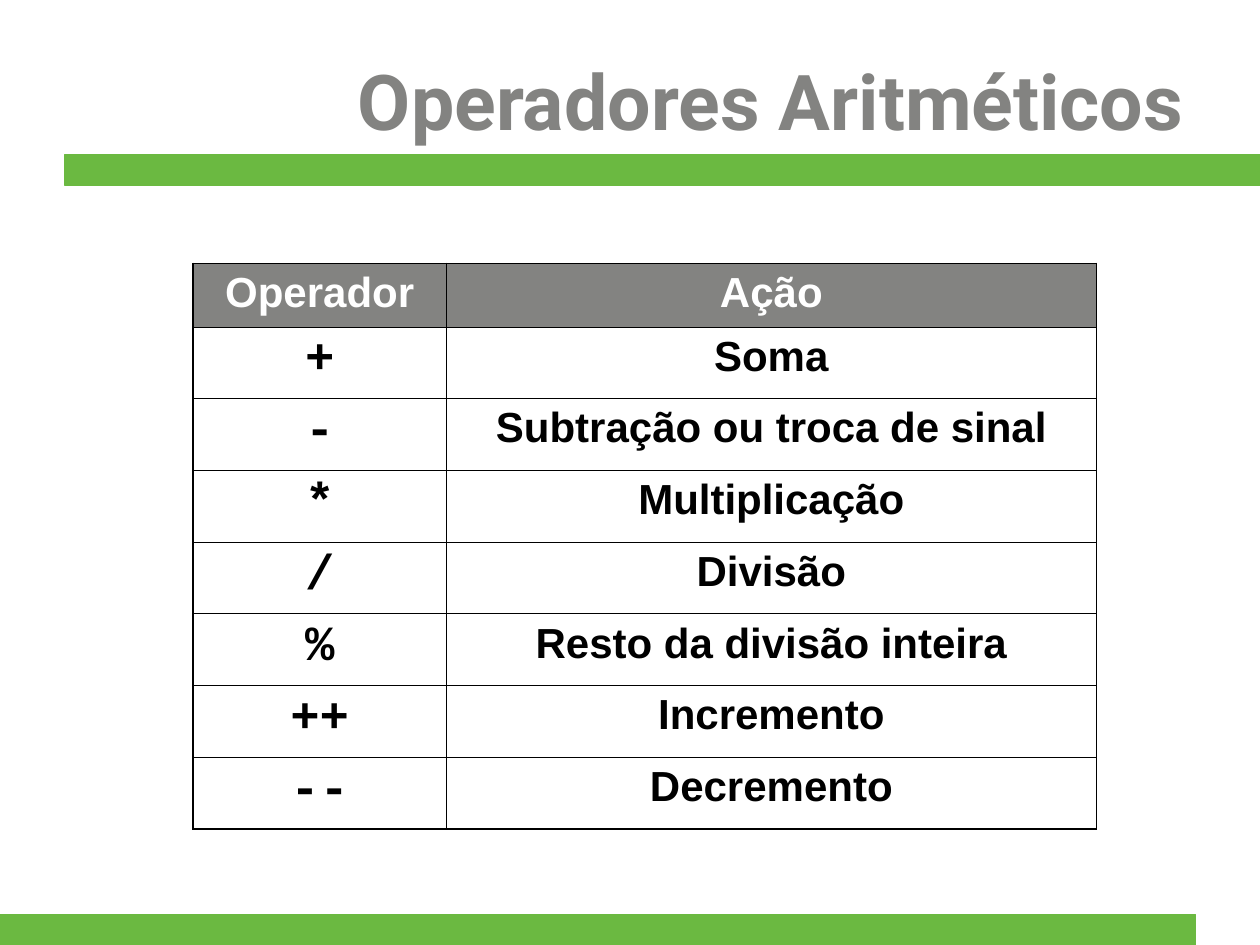
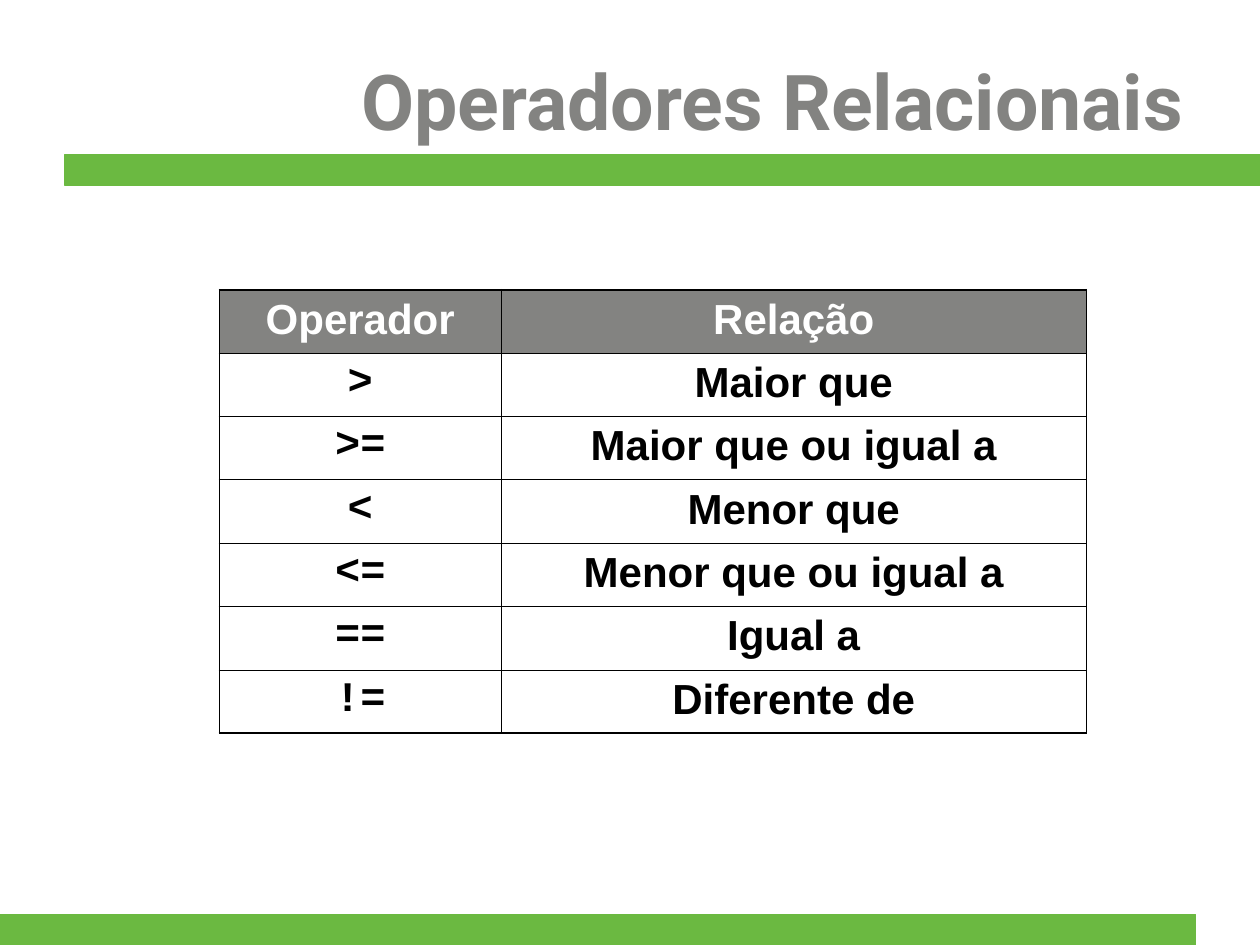
from lxml import etree
from pptx import Presentation
from pptx import util as u
from pptx.dml.color import RGBColor
from pptx.enum import shapes, text
from pptx.oxml.ns import qn

GREEN, GRAY, WHITE, BLACK = "6BB941", "838381", "FFFFFF", "000000"
INNER_LINE, OUTER_LINE = 0.45, 1.08

# left, top, width, height in points
TITLE_AREA = (36, 31.7, 648, 51.1)
BANDS = [(36.7, 88.55, 683.3, 17.3), (0, 522.7, 683.3, 17.3)]

TITLE = dict(name="Roboto", size=u.Pt(44), bold=True)
WORDS = dict(name="Arial", size=u.Pt(24), bold=True)

SLIDES = [
    dict(
        title="Operadores Aritméticos",
        origin=(110.4, 150.6), columns=(144.6, 371.5),
        header_height=36.2, row_height=41, symbol_size=28, symbol_space=7,
        rows=[
            ("Operador", "Ação"),
            ("+", "Soma"),
            ("-", "Subtração ou troca de sinal"),
            ("*", "Multiplicação"),
            ("/", "Divisão"),
            ("%", "Resto da divisão inteira"),
            ("++", "Incremento"),
            ("--", "Decremento"),
        ],
    ),
    dict(
        title="Operadores Relacionais",
        origin=(125.4, 165.6), columns=(160.9, 334.5),
        header_height=36.2, row_height=36.2, symbol_size=24, symbol_space=6,
        rows=[
            ("Operador", "Relação"),
            (">", "Maior que"),
            (">=", "Maior que ou igual a"),
            ("<", "Menor que"),
            ("<=", "Menor que ou igual a"),
            ("==", "Igual a"),
            ("!=", "Diferente de"),
        ],
    ),
]


def rgb(color):
    return RGBColor.from_string(color)


def points(values):
    return [u.Pt(value) for value in values]


def write(para, words, formats, color, align):
    para.alignment = align
    span = para.add_run()
    span.text = words
    for name, value in formats.items():
        setattr(span.font, name, value)
    span.font.color.rgb = rgb(color)


def add_title(page, words):
    title = page.shapes.title
    for name, value in zip(("left", "top", "width", "height"), points(TITLE_AREA)):
        setattr(title, name, value)
    frame = title.text_frame
    frame.auto_size = text.MSO_AUTO_SIZE.NONE
    frame.vertical_anchor = text.MSO_ANCHOR.MIDDLE
    write(frame.paragraphs[0], words, TITLE, GRAY, text.PP_ALIGN.RIGHT)


def add_bands(page):
    for area in BANDS:
        band = page.shapes.add_shape(shapes.MSO_SHAPE.RECTANGLE, *points(area))
        band.shadow.inherit = False
        band.fill.solid()
        band.fill.fore_color.rgb = rgb(GREEN)
        band.line.color.rgb = rgb(GREEN)
        band.line.width = u.Pt(0.75)


def set_borders(cell, outer_sides):
    """Draw all four cell borders, thicker on the table's outer sides."""
    properties = cell._tc.get_or_add_tcPr()
    for side in "LRTB":
        width = OUTER_LINE if side in outer_sides else INNER_LINE
        line = etree.SubElement(properties, qn(f"a:ln{side}"), w=str(u.Pt(width)))
        fill = etree.SubElement(line, qn("a:solidFill"))
        etree.SubElement(fill, qn("a:srgbClr"), val=BLACK)


def add_operator_table(page, content):
    rows, columns = content["rows"], content["columns"]
    heights = [content["header_height"]] + [content["row_height"]] * (len(rows) - 1)
    area = (*content["origin"], sum(columns), sum(heights))
    table = page.shapes.add_table(len(rows), len(columns), *points(area)).table
    table.first_row = table.horz_banding = False
    for column, width in zip(table.columns, points(columns)):
        column.width = width
    for row, height in zip(table.rows, points(heights)):
        row.height = height

    symbols = dict(WORDS, name="Courier New", size=u.Pt(content["symbol_size"]))
    last_row = len(rows) - 1
    for r, entries in enumerate(rows):
        for c, words in enumerate(entries):
            cell = table.cell(r, c)
            is_header, is_symbol = r == 0, r > 0 and c == 0
            outer_sides = "LR"[c] + "T" * is_header + "B" * (r == last_row)
            set_borders(cell, outer_sides)
            cell.fill.solid()
            cell.fill.fore_color.rgb = rgb(GRAY if is_header else WHITE)
            para = cell.text_frame.paragraphs[0]
            para.space_before = u.Pt(content["symbol_space"] if is_symbol else 6)
            write(para, words, symbols if is_symbol else WORDS,
                  WHITE if is_header else BLACK, text.PP_ALIGN.CENTER)


def main():
    deck = Presentation()
    deck.slide_width, deck.slide_height = u.Pt(720), u.Pt(540)
    title_only = deck.slide_layouts[5]
    for content in SLIDES:
        page = deck.slides.add_slide(title_only)
        add_bands(page)
        add_title(page, content["title"])
        add_operator_table(page, content)
    deck.save("out.pptx")


if __name__ == "__main__":
    main()
